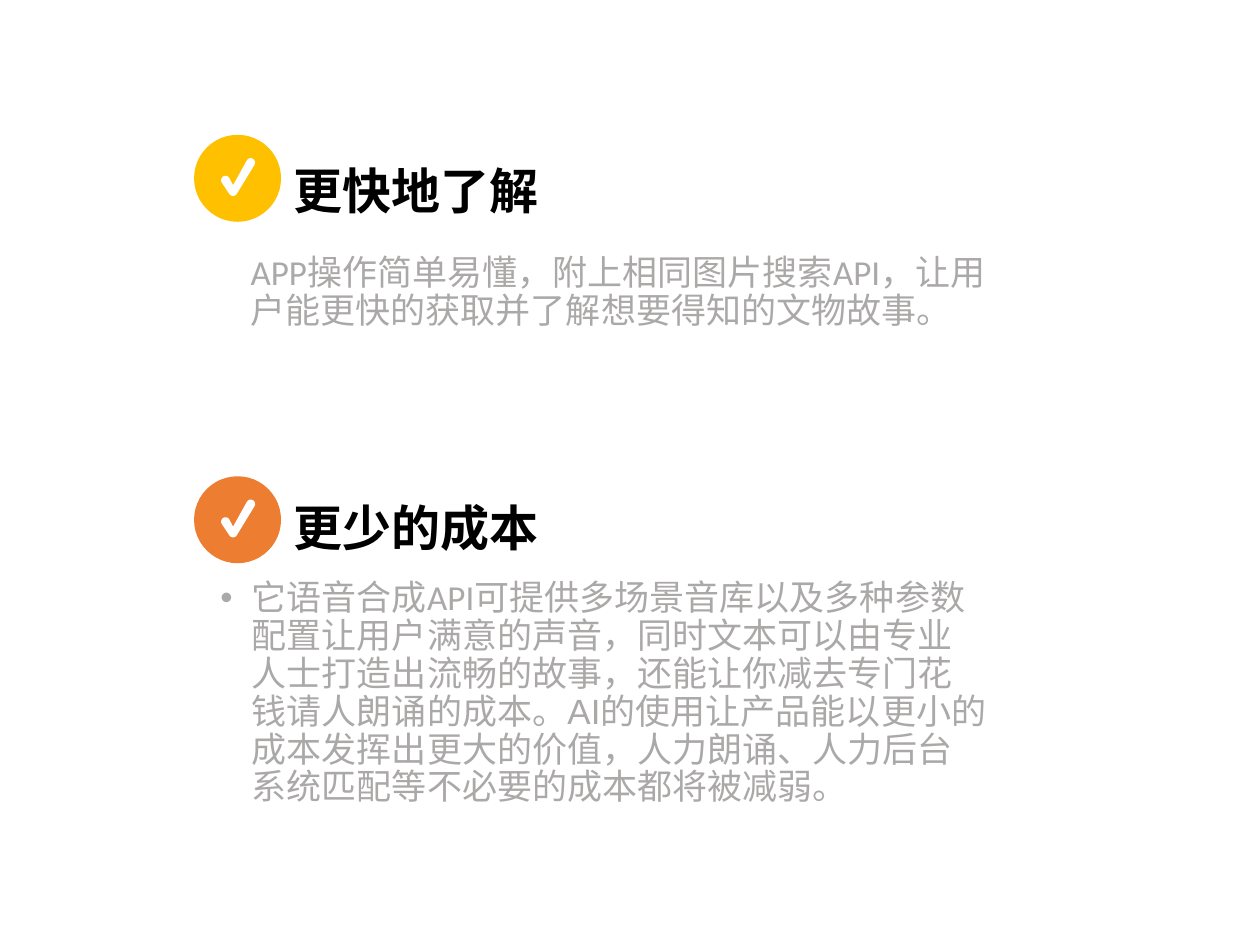
import math

from lxml import etree
from pptx import Presentation
from pptx import util as u
from pptx.dml.color import RGBColor
from pptx.enum import shapes, text
from pptx.oxml import ns

AMBER = RGBColor(0xFF, 0xC0, 0x00)
ORANGE = RGBColor(0xED, 0x7D, 0x31)
WHITE = RGBColor(0xFF, 0xFF, 0xFF)
BLACK = RGBColor(0, 0, 0)
GREY = RGBColor(0xAB, 0xA8, 0xA8)

BADGE_SIZE = 0.69
TICK_RADIUS = 0.035
HEADING_FORMAT = {"name": "Cabin", "size": u.Pt(28), "bold": True}
BODY_FORMAT = {"size": u.Pt(20)}

SECTIONS = [
    {
        "badge": (1.54, 1.07),
        "colour": AMBER,
        "heading_box": (2.23, 1.12, 3.15, 0.78),
        "heading": "更快地了解",
        "body_box": (1.89, 1.98, 6.3, 1.16),
        "body": [("APP操作简单易懂，附上相同图片搜索API，让用户能更快的获取并了解想要得知的文物故事。", "Calibri")],
        "bullet": False,
    },
    {
        "badge": (1.54, 3.78),
        "colour": ORANGE,
        "heading_box": (2.23, 3.79, 3.15, 0.78),
        "heading": "更少的成本",
        "body_box": (1.65, 4.56, 6.28, 1.16),
        "body": [
            ("它语音合成API可提供多场景音库以及多种参数配置让用户满意的声音，同时文本可以由专业人士打造出流畅的故事，还能让你减去专门花钱请人朗诵的成本。", "Calibri"),
            ("AI的使用让产品能以更小的成本发挥出更大的价值，人力朗诵、人力后台系统匹配等不必要的成本都将被减弱。", "Arial"),
        ],
        "bullet": True,
    },
]


def paint(shape, colour):
    shape.shadow.inherit = False
    shape.fill.solid()
    shape.fill.fore_color.rgb = colour
    shape.line.fill.background()


def arc(x, y, start, end, steps=8):
    angles = [math.radians(start + (end - start) * i / steps) for i in range(steps + 1)]
    return [(x + TICK_RADIUS * math.cos(a), y + TICK_RADIUS * math.sin(a)) for a in angles]


def add_badge(page, left, top, colour):
    group = page.shapes.add_group_shape()
    size = u.Inches(BADGE_SIZE)
    circle = group.shapes.add_shape(
        shapes.MSO_SHAPE.OVAL, u.Inches(left), u.Inches(top), size, size)
    paint(circle, colour)
    outline = (arc(0.25, 0.36, 146, 326) + [(0.31, 0.4)]
               + arc(0.45, 0.22, -149, 31) + arc(0.31, 0.45, 31, 146))
    points = [(u.Inches(left + x), u.Inches(top + y)) for x, y in outline]
    builder = group.shapes.build_freeform(*points[0])
    builder.add_line_segments(points[1:], close=True)
    paint(builder.convert_to_shape(), WHITE)


def add_text(page, bounds, anchor):
    box = page.shapes.add_textbox(*map(u.Inches, bounds))
    box.text_frame.word_wrap = True
    box.text_frame.vertical_anchor = anchor
    return box.text_frame.paragraphs[0]


def add_span(para, words, colour, formats):
    span = para.add_run()
    span.text = words
    span.font.color.rgb = colour
    for name, value in formats.items():
        setattr(span.font, name, value)


def add_bullet(para):
    properties = para._p.get_or_add_pPr()
    properties.set("marL", str(u.Inches(0.25)))
    properties.set("indent", str(u.Inches(-0.25)))
    etree.SubElement(properties, ns.qn("a:buFont"), typeface="Arial")
    etree.SubElement(properties, ns.qn("a:buChar"), char="•")


def add_section(page, section):
    para = add_text(page, section["body_box"], text.MSO_ANCHOR.TOP)
    if section["bullet"]:
        add_bullet(para)
    para.line_spacing = 0.9
    for words, font_name in section["body"]:
        add_span(para, words, GREY, {**BODY_FORMAT, "name": font_name})
    para = add_text(page, section["heading_box"], text.MSO_ANCHOR.MIDDLE)
    add_span(para, section["heading"], BLACK, HEADING_FORMAT)
    add_badge(page, *section["badge"], section["colour"])


def main():
    deck = Presentation()
    deck.slide_width, deck.slide_height = u.Inches(10), u.Inches(7.5)
    page = deck.slides.add_slide(deck.slide_layouts[6])
    for section in SECTIONS:
        add_section(page, section)
    deck.save("out.pptx")


if __name__ == "__main__":
    main()
